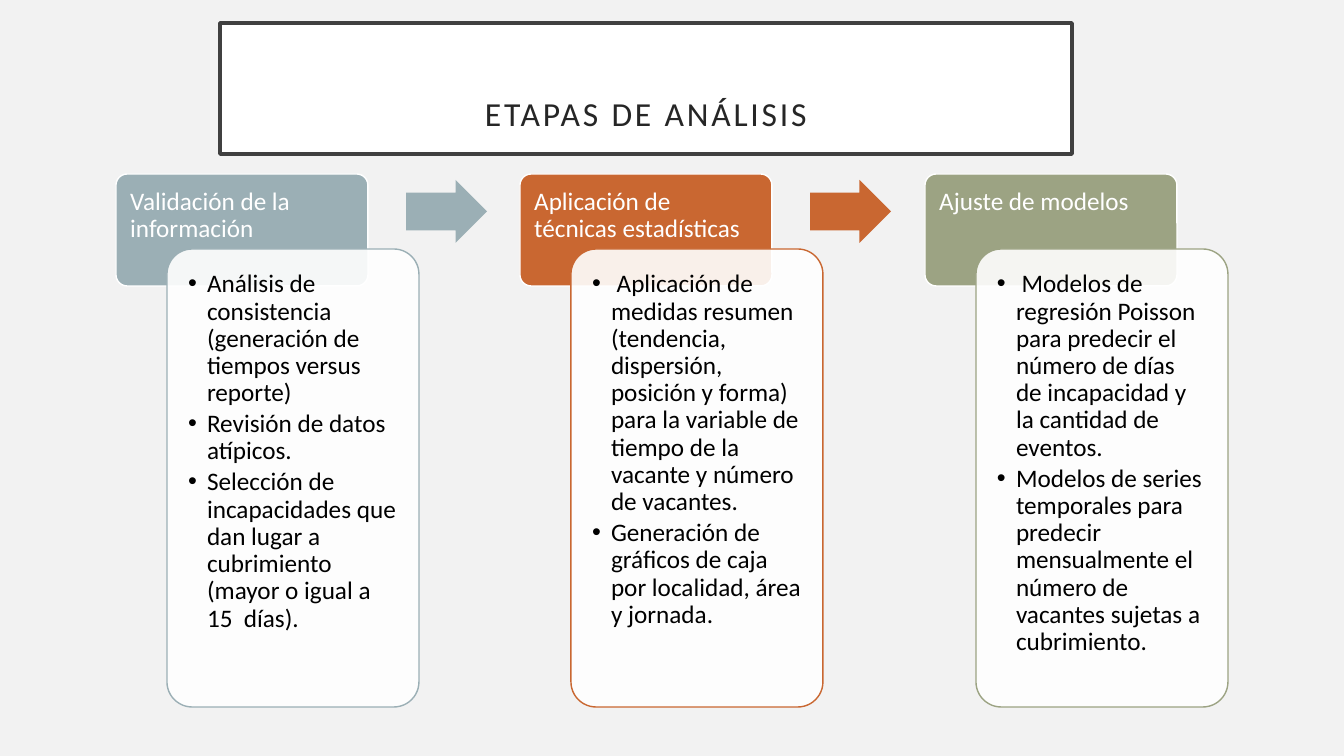
from dataclasses import dataclass

from lxml import etree
from pptx import Presentation
from pptx import util as u
from pptx.dml.color import RGBColor
from pptx.enum import shapes, text
from pptx.oxml import ns

EMU_PER_PIXEL = 914400 / 100.8


@dataclass(frozen=True)
class Theme:
    font: str = "Calibri"
    title_size: float = 24
    text_size: float = 18
    line_spacing: float = 0.9
    item_gap: float = 2.7
    background: str = "F2F2F2"
    white: str = "FFFFFF"
    black: str = "000000"
    title_text: str = "262626"
    title_border: str = "404040"


@dataclass(frozen=True)
class Box:
    left: int
    top: int
    width: int
    height: int

    def shifted(self, distance: int) -> "Box":
        return Box(self.left + distance, self.top, self.width, self.height)


@dataclass(frozen=True)
class Stage:
    heading: str
    color: str
    items: tuple[str, ...]


THEME = Theme()
TITLE = Box(220, 23, 852, 131)
HEADER = Box(116, 174, 252, 112)
CARD = Box(167, 249, 252, 458)
CARD_TEXT = Box(174, 257, 237, 443)
ARROW = Box(406, 180, 81, 63)
TWO_COLUMNS = 809

STAGES = (
    Stage("Validación de la información", "9BAFB5", (
        "Análisis de consistencia (generación de tiempos versus reporte)",
        "Revisión de datos atípicos.",
        "Selección de incapacidades que dan lugar a cubrimiento "
        "(mayor o igual a 15  días).",
    )),
    Stage("Aplicación de técnicas estadísticas", "C96731", (
        " Aplicación de medidas resumen (tendencia, dispersión, posición y forma) "
        "para la variable de tiempo de la vacante y número de vacantes.",
        "Generación de gráficos de caja por localidad, área y jornada.",
    )),
    Stage("Ajuste de modelos", "9CA383", (
        " Modelos de regresión Poisson para predecir el número de días "
        "de incapacidad y la cantidad de eventos.",
        "Modelos de series temporales para predecir mensualmente el número "
        "de vacantes sujetas a cubrimiento.",
    )),
)


def px(pixels: int) -> u.Emu:
    return u.Emu(round(pixels * EMU_PER_PIXEL))


def place(shape, box: Box) -> None:
    shape.left, shape.top = px(box.left), px(box.top)
    shape.width, shape.height = px(box.width), px(box.height)


def paint(shape, fill: str, line: str | None = None, width: float = 1) -> None:
    shape.fill.solid()
    shape.fill.fore_color.rgb = RGBColor.from_string(fill)
    if line is None:
        shape.line.fill.background()
    else:
        shape.line.color.rgb = RGBColor.from_string(line)
        shape.line.width = u.Pt(width)


def add_shape(slide, kind, box: Box, adjustments: tuple[float, ...]):
    shape = slide.shapes.add_shape(kind, 0, 0, 0, 0)
    place(shape, box)
    shape.shadow.inherit = False
    for index, value in enumerate(adjustments):
        shape.adjustments[index] = value
    return shape


def set_frame(frame, inset: int, anchor) -> None:
    frame.word_wrap = True
    frame.auto_size = text.MSO_AUTO_SIZE.NONE
    frame.vertical_anchor = anchor
    frame.margin_left = frame.margin_right = px(inset)
    frame.margin_top = frame.margin_bottom = px(inset)


def format_paragraph(paragraph, color: str, size: float, align, gap: float = 0) -> None:
    paragraph.alignment = align
    paragraph.line_spacing = THEME.line_spacing
    paragraph.space_before = u.Pt(0)
    paragraph.space_after = u.Pt(gap)
    paragraph.font.name = THEME.font
    paragraph.font.size = u.Pt(size)
    paragraph.font.bold = False
    paragraph.font.color.rgb = RGBColor.from_string(color)


def add_bullet(paragraph) -> None:
    properties = paragraph._p.get_or_add_pPr()
    properties.set("marL", str(px(19)))
    properties.set("indent", str(-px(19)))
    etree.SubElement(properties, ns.qn("a:buFont"), typeface="Arial")
    etree.SubElement(properties, ns.qn("a:buChar"), char="•")


def set_title(title) -> None:
    place(title, TITLE)
    paint(title, THEME.white, THEME.title_border, 2.5)
    title.text_frame.text = "ETAPAS DE ANÁLISIS"
    set_frame(title.text_frame, 20, text.MSO_ANCHOR.BOTTOM)
    paragraph = title.text_frame.paragraphs[0]
    format_paragraph(paragraph, THEME.title_text, THEME.title_size, text.PP_ALIGN.CENTER)
    paragraph.runs[0]._r.get_or_add_rPr().set("spc", "200")


def add_header(slide, stage: Stage, shift: int) -> None:
    header = add_shape(slide, shapes.MSO_SHAPE.ROUNDED_RECTANGLE, HEADER.shifted(shift), (0.1,))
    paint(header, stage.color, THEME.white)
    header.text_frame.text = stage.heading
    set_frame(header.text_frame, 11, text.MSO_ANCHOR.TOP)
    format_paragraph(header.text_frame.paragraphs[0], THEME.white, THEME.text_size,
                     text.PP_ALIGN.LEFT)


def add_card(slide, stage: Stage, shift: int, body) -> None:
    card = add_shape(slide, shapes.MSO_SHAPE.ROUNDED_RECTANGLE, CARD.shifted(shift), (0.1,))
    paint(card, THEME.white, stage.color)
    fill_color = card.element.spPr.find(ns.qn("a:solidFill"))[0]
    etree.SubElement(fill_color, ns.qn("a:alpha"), val="90000")

    place(body, CARD_TEXT.shifted(shift))
    slide.shapes.element.append(body.element)
    body.text_frame.text = "\n".join(stage.items)
    set_frame(body.text_frame, 14, text.MSO_ANCHOR.TOP)
    for paragraph in body.text_frame.paragraphs:
        add_bullet(paragraph)
        format_paragraph(paragraph, THEME.black, THEME.text_size,
                         text.PP_ALIGN.LEFT, THEME.item_gap)


def add_arrow(slide, stage: Stage, shift: int) -> None:
    arrow = add_shape(slide, shapes.MSO_SHAPE.RIGHT_ARROW, ARROW.shifted(shift), (0.6, 0.5))
    paint(arrow, stage.color)


def main() -> None:
    presentation = Presentation()
    presentation.slide_width, presentation.slide_height = px(1344), px(756)
    slide = presentation.slides.add_slide(presentation.slide_layouts.get_by_name("Comparison"))
    slide.background.fill.solid()
    slide.background.fill.fore_color.rgb = RGBColor.from_string(THEME.background)

    title, *bodies, spare = list(slide.placeholders)
    spare.element.getparent().remove(spare.element)
    set_title(title)
    for index, (stage, body) in enumerate(zip(STAGES, bodies)):
        shift = index * TWO_COLUMNS // 2
        add_header(slide, stage, shift)
        add_card(slide, stage, shift, body)
        if stage is not STAGES[-1]:
            add_arrow(slide, stage, shift)
    presentation.save("out.pptx")


main()
